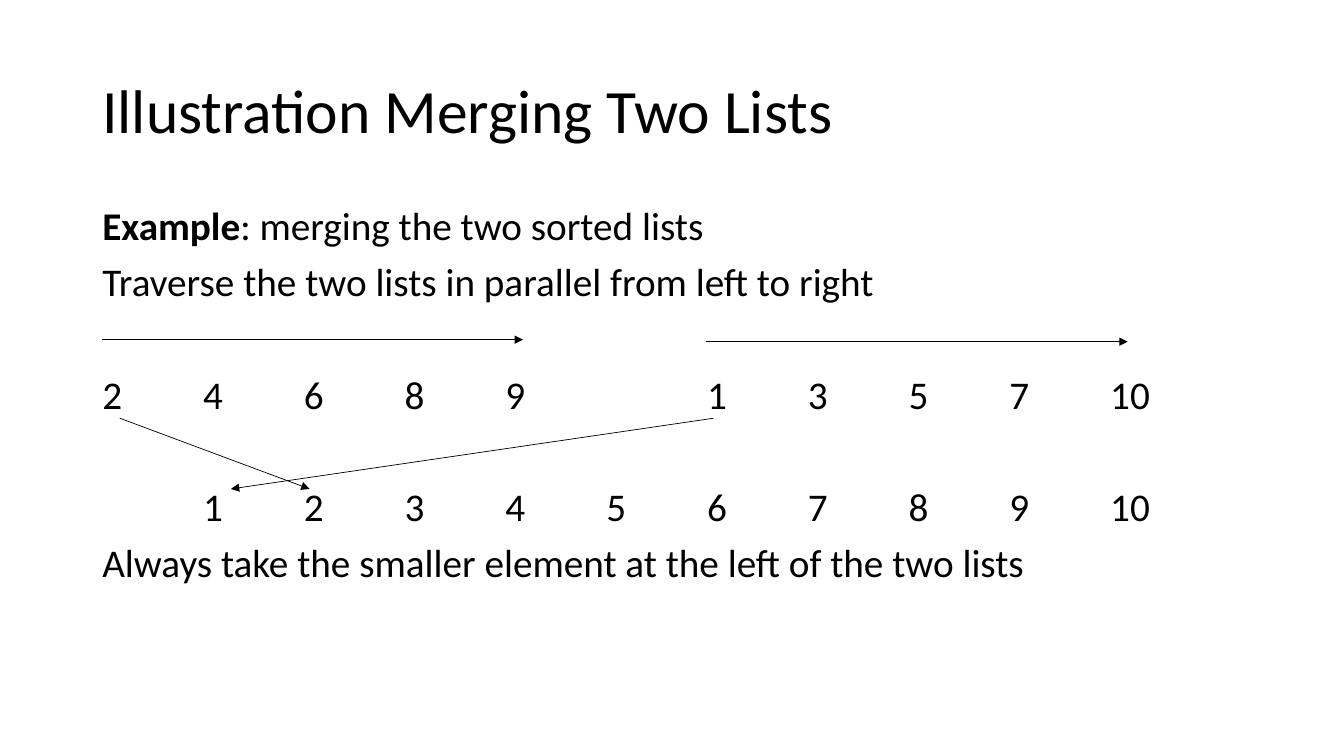
"""Build a slide that shows how two sorted lists are merged."""
from pptx import Presentation
from pptx.dml.color import RGBColor
from pptx.enum.shapes import MSO_CONNECTOR
from pptx.enum.text import MSO_ANCHOR
from pptx.oxml.ns import qn
from pptx.util import Cm, Pt
from lxml.etree import SubElement

INK = {"text": "000000", "line": "000000"}
FONT = "Calibri"
TITLE = "Illustration Merging Two Lists"
LEAD = "Example"
LEFT = [2, 4, 6, 8, 9]
RIGHT = [1, 3, 5, 7, 10]
STEP = 2.54
GAP = 10
SKIP = 50

HEAD = dict(zip(range(len(LEFT)), LEFT)) | dict(zip(range(6, 11), RIGHT))
MERGED = dict(enumerate(sorted(LEFT + RIGHT), 1))
BODY = [
    (LEAD + ": merging the two sorted lists", GAP),
    ("Traverse the two lists in parallel from left to right", GAP),
    (HEAD, SKIP),
    (MERGED, SKIP),
    ("Always take the smaller element at the left of the two lists", GAP),
]
ARROWS = [
    (2.57, 8.56, 13.18, 8.56),
    (17.78, 8.61, 28.42, 8.61),
    (17.98, 10.54, 5.82, 12.32),
    (3.02, 10.54, 7.8, 12.32),
]


def add_box(slide, top, high, anchor):
    box = slide.shapes.add_textbox(Cm(2.33), Cm(top), Cm(29.21), Cm(high))
    frame = box.text_frame
    frame.word_wrap = True
    frame.vertical_anchor = anchor
    return frame


def style(para, size, before=0):
    para.line_spacing = 0.9
    para.space_before = Pt(before)
    for run in para.runs:
        run.font.name = FONT
        run.font.size = Pt(size)
        run.font.color.rgb = RGBColor.from_string(INK["text"])


def add_row(para, cells):
    lead = "" if 0 in cells else "\t"
    para.text = lead + "\t".join(str(num) for num in cells.values())
    style(para, 28, SKIP)
    tabs = SubElement(para._p.get_or_add_pPr(), qn("a:tabLst"))
    for col in cells:
        if col:
            SubElement(tabs, qn("a:tab"), pos=str(Cm(col * STEP)), algn="l")


def add_arrow(slide, ends):
    line = slide.shapes.add_connector(
        MSO_CONNECTOR.STRAIGHT, *[Cm(end) for end in ends])
    line.line.width = Pt(0.5)
    line.line.color.rgb = RGBColor.from_string(INK["line"])
    SubElement(line.line._get_or_add_ln(), qn("a:tailEnd"), type="triangle")
    SubElement(line._element.spPr, qn("a:effectLst"))


def main():
    deck = Presentation()
    deck.slide_width, deck.slide_height = Cm(33.87), Cm(19.05)
    slide = deck.slides.add_slide(deck.slide_layouts[6])

    title = add_box(slide, 1.02, 3.68, MSO_ANCHOR.MIDDLE).paragraphs[0]
    title.text = TITLE
    style(title, 44)

    frame = add_box(slide, 5.08, 12.08, MSO_ANCHOR.TOP)
    for i, (item, before) in enumerate(BODY):
        para = frame.add_paragraph() if i else frame.paragraphs[0]
        if isinstance(item, dict):
            add_row(para, item)
            continue
        head, mark, rest = item.partition(":")
        para.text = head
        if mark:
            para.runs[0].font.bold = True
            para.add_run().text = mark + rest
        style(para, 28, before)

    for ends in ARROWS:
        add_arrow(slide, ends)
    deck.save("out.pptx")


if __name__ == "__main__":
    main()
